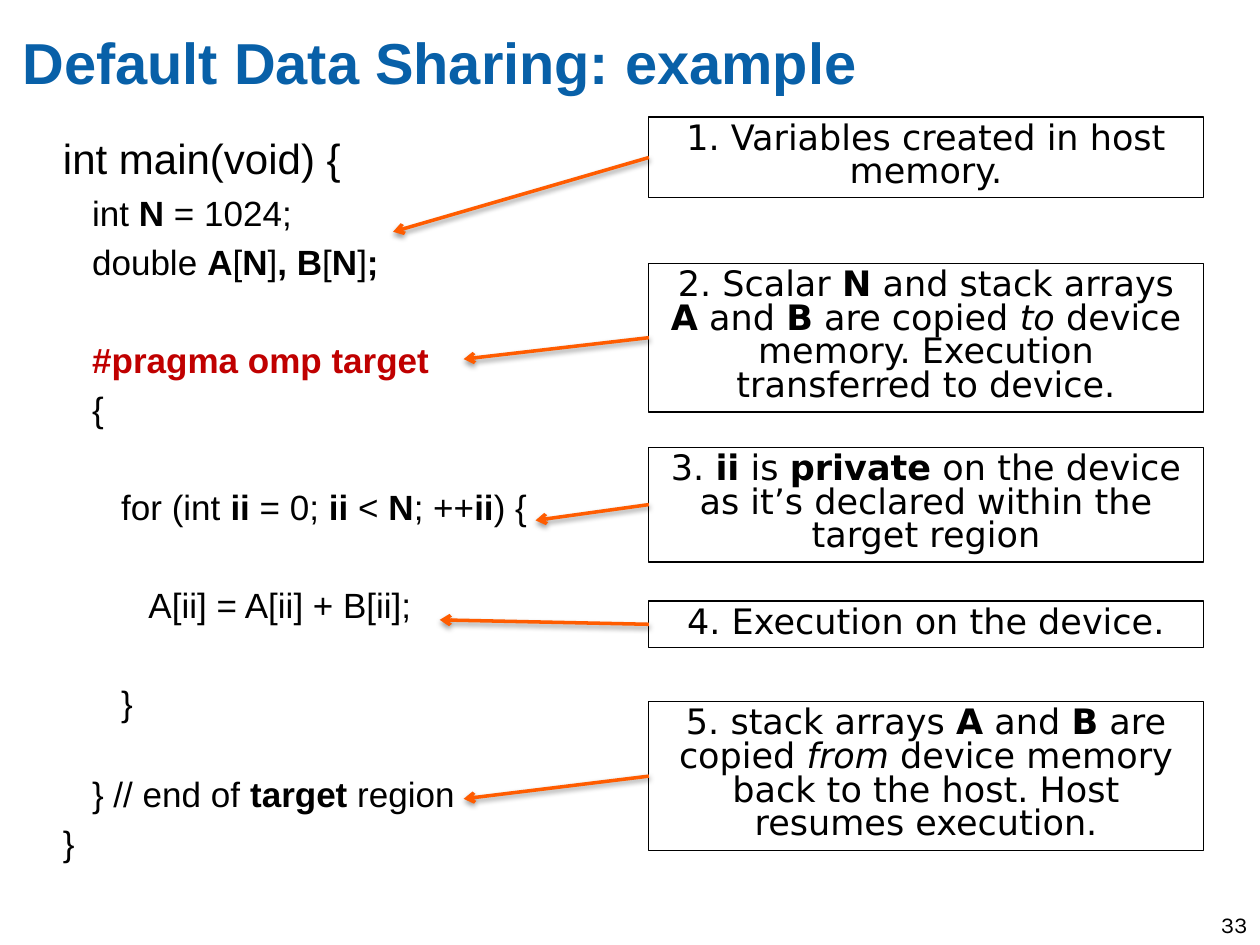
from itertools import groupby
from lxml import etree
from pptx import Presentation
from pptx.dml.color import RGBColor as RGB
from pptx.enum.shapes import MSO_CONNECTOR as Line, MSO_SHAPE as Shape
from pptx.enum.text import MSO_ANCHOR as Anchor, MSO_AUTO_SIZE as Fit, PP_ALIGN as Align
from pptx.oxml import parse_xml
from pptx.oxml.ns import qn
from pptx.util import Inches, Pt

COLORS = {"title": "0860A8", "ink": "000000", "pragma": "C00000", "arrow": "FF5C00"}

TITLE = "Default Data Sharing: example"
BOLD, SLANT = "*", "~"
CODE = [
    ("int main(void) {", 0, {"size": 24}),
    ("   int *N* = 1024;", 5, {}),
    ("   double *A*[*N*]*, B*[*N*]*;*", 4, {}),
    ("   *#pragma omp target*", 32, {"ink": "pragma"}),
    ("   {", 4, {}),
    ("      for (int *ii* = 0; *ii* < *N*; ++*ii*) {", 32, {}),
    ("         A[ii] = A[ii] + B[ii];", 32, {}),
    ("      }", 32, {}),
    ("   } // end of *target* region", 28, {}),
    ("}", 4, {}),
]
NOTES = [
    ("1. Variables created in host memory.", 0.93, 0.64, (3.12, 1.84)),
    ("2. Scalar *N* and stack arrays *A* and *B* are copied ~to~ device memory. "
     "Execution transferred to device.", 2.09, 1.18, (3.68, 2.85)),
    ("3. *ii* is *private* on the device as it’s declared within the target region",
     3.55, 0.91, (4.25, 4.13)),
    ("4. Execution on the device.", 4.77, 0.37, (3.49, 4.92)),
    ("5. stack arrays *A* and *B* are copied ~from~ device memory back to the host. "
     "Host resumes execution.", 5.57, 1.18, (3.68, 6.34)),
]
NOTE_X, NOTE_W = 5.15, 4.4
PAD = (0.1, 0.05, 0.1, 0.05)

SHADOW = (
    '<a:effectLst xmlns:a="http://schemas.openxmlformats.org/drawingml/2006/main">'
    '<a:outerShdw blurRad="39370" dist="20320" dir="5400000" rotWithShape="0">'
    '<a:srgbClr val="000000"><a:alpha val="38000"/></a:srgbClr>'
    '</a:outerShdw></a:effectLst>'
)


def color(name):
    return RGB.from_string(COLORS[name])


def write(para, text, font="Arial", size=20, ink="ink", bold=False,
          align=Align.LEFT, before=0, space=None):
    para.alignment = align
    para.space_before = Pt(before)
    if space:
        para.line_spacing = space
    slant = False
    for mark, chars in groupby(text, lambda c: c if c in BOLD + SLANT else ""):
        if mark == BOLD:
            bold = not bold
        elif mark == SLANT:
            slant = not slant
        else:
            run = para.add_run()
            run.text = "".join(chars)
            face = run.font
            face.name, face.size = font, Pt(size)
            face.bold, face.italic = bold, slant
            face.color.rgb = color(ink)


def frame(shape, pad=(0, 0, 0, 0)):
    body = shape.text_frame
    body.word_wrap = True
    body.vertical_anchor = Anchor.TOP
    (body.margin_left, body.margin_top,
     body.margin_right, body.margin_bottom) = map(Inches, pad)
    return body


def arrow(slide, box, tip):
    link = slide.shapes.add_connector(
        Line.STRAIGHT, box.left, box.top, Inches(tip[0]), Inches(tip[1]))
    link.begin_connect(box, 1)
    link.line.color.rgb = color("arrow")
    link.line.width = Pt(2)
    props = link.element.spPr
    etree.SubElement(props.find(qn("a:ln")), qn("a:tailEnd"), type="arrow")
    props.append(parse_xml(SHADOW))


def main():
    deck = Presentation()
    deck.slide_width, deck.slide_height = Inches(10), Inches(7.5)
    slide = deck.slides.add_slide(deck.slide_layouts[5])

    title = slide.shapes.title
    title.left, title.top, title.width, title.height = map(Inches, (0.18, 0.21, 9.01, 0.97))
    write(frame(title).paragraphs[0], TITLE, size=33, ink="title", bold=True)

    code = frame(slide.shapes.add_textbox(*map(Inches, (0.5, 1.05, 9.24, 6.31))))
    for i, (text, gap, look) in enumerate(CODE):
        para = code.add_paragraph() if i else code.paragraphs[0]
        write(para, text, before=gap, **look)

    for text, top, high, tip in NOTES:
        box = slide.shapes.add_shape(
            Shape.RECTANGLE, *map(Inches, (NOTE_X, top, NOTE_W, high)))
        box.shadow.inherit = False
        box.fill.background()
        box.line.color.rgb = color("ink")
        box.line.width = Pt(0.75)
        body = frame(box, PAD)
        body.auto_size = Fit.SHAPE_TO_FIT_TEXT
        write(body.paragraphs[0], text,
              font="DejaVu Sans", align=Align.CENTER, space=0.8)
        arrow(slide, box, tip)

    page = slide.shapes.add_textbox(*map(Inches, (9.17, 7.18, 0.83, 0.33)))
    write(frame(page, PAD).paragraphs[0], "33",
          font="Karla", size=13, align=Align.RIGHT)

    deck.save("out.pptx")


if __name__ == "__main__":
    main()
